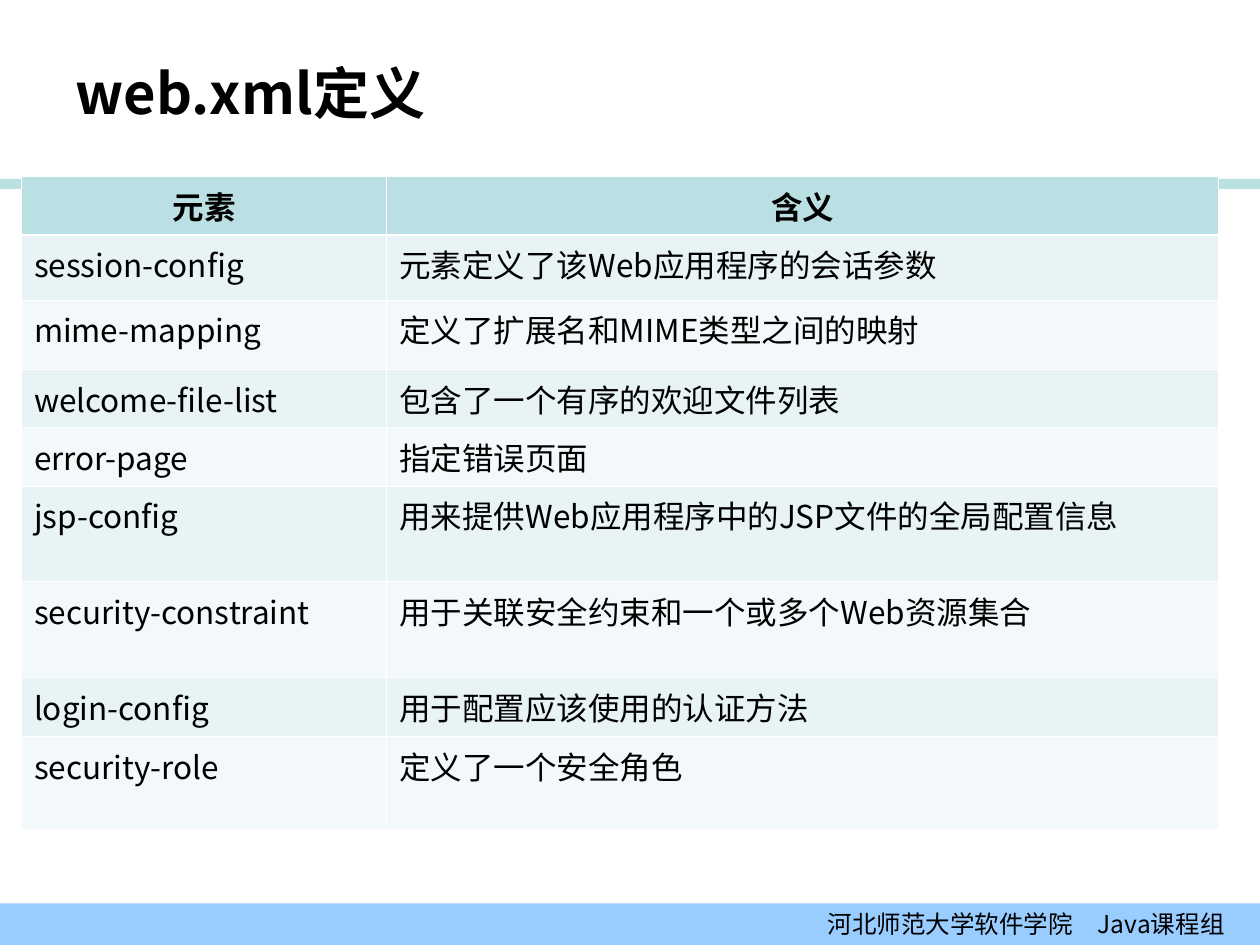
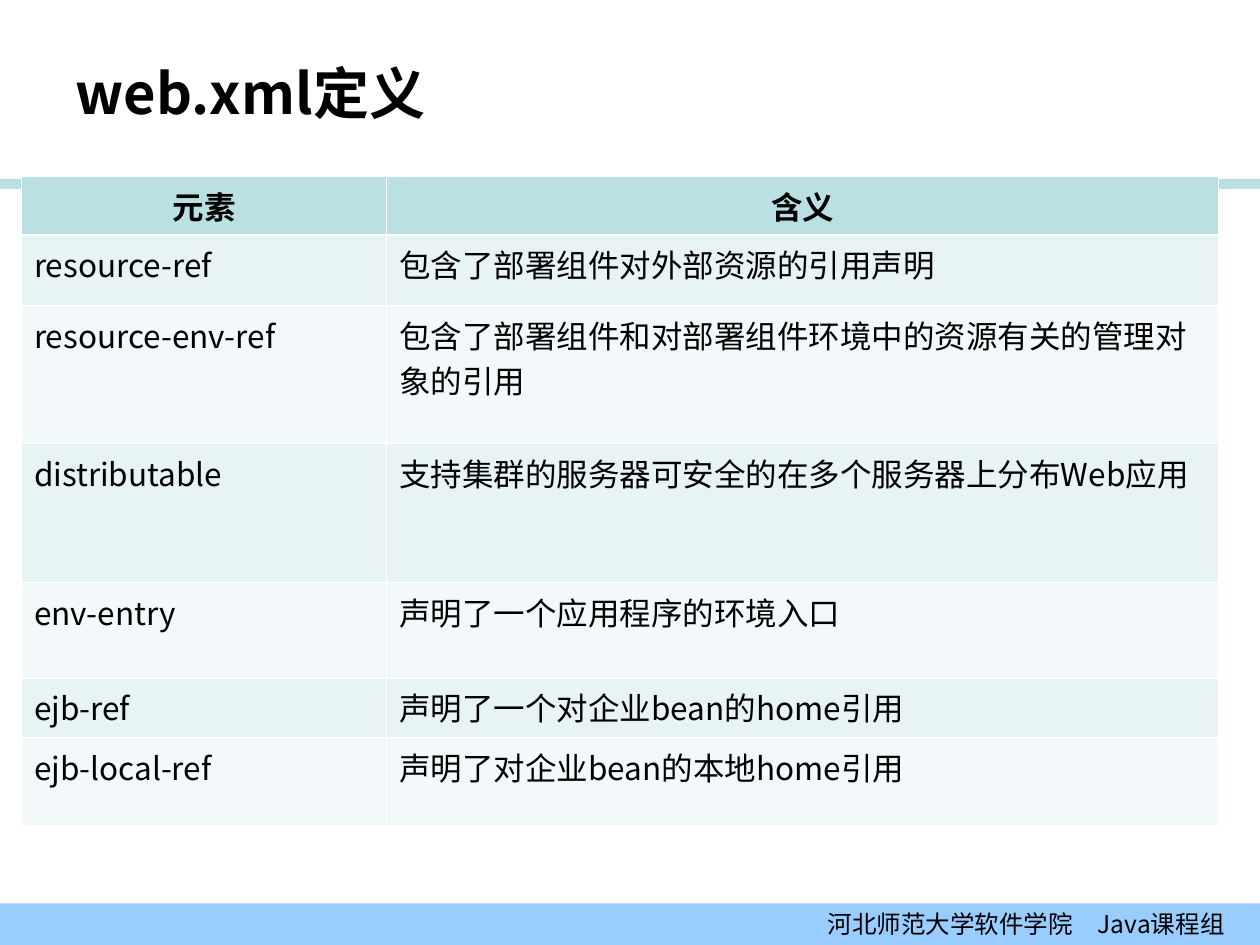
from lxml import etree
from pptx import Presentation
from pptx.dml.color import RGBColor
from pptx.enum import shapes, text
from pptx.oxml import ns
from pptx.util import Inches, Pt

FONT = "Noto Sans CJK SC"
BLACK = RGBColor(0x00, 0x00, 0x00)
TEAL = RGBColor(0xBB, 0xE0, 0xE3)
BLUE = RGBColor(0x99, 0xCC, 0xFF)
ROW_TINTS = [RGBColor(0xF3, 0xF9, 0xFA), RGBColor(0xE7, 0xF3, 0xF4)]
TITLE_FORMAT = {"size": Pt(32), "bold": True}
HEADER_FORMAT = {"size": Pt(18), "bold": True}
BODY_FORMAT = {"size": Pt(18), "bold": False}
FOOTER_FORMAT = {"size": Pt(14), "bold": False}
HEADER = ("元素", "含义")
COLUMN_WIDTHS = (2.9, 6.6)
THIN, THICK = Pt(0.45), Pt(1.47)

TABLES = [
    [
        (0.46, HEADER),
        (0.52, ("session-config", "元素定义了该Web应用程序的会话参数")),
        (0.55, ("mime-mapping", "定义了扩展名和MIME类型之间的映射")),
        (0.46, ("welcome-file-list", "包含了一个有序的欢迎文件列表")),
        (0.46, ("error-page", "指定错误页面")),
        (0.76, ("jsp-config", "用来提供Web应用程序中的JSP文件的全局配置信息")),
        (0.76, ("security-constraint", "用于关联安全约束和一个或多个Web资源集合")),
        (0.47, ("login-config", "用于配置应该使用的认证方法")),
        (0.74, ("security-role", "定义了一个安全角色")),
    ],
    [
        (0.46, HEADER),
        (0.56, ("resource-ref", "包含了部署组件对外部资源的引用声明")),
        (1.1, ("resource-env-ref", "包含了部署组件和对部署组件环境中的资源有关的管理对象的引用")),
        (1.1, ("distributable", "支持集群的服务器可安全的在多个服务器上分布Web应用")),
        (0.76, ("env-entry", "声明了一个应用程序的环境入口")),
        (0.47, ("ejb-ref", "声明了一个对企业bean的home引用")),
        (0.7, ("ejb-local-ref", "声明了对企业bean的本地home引用")),
    ],
]


def write_text(frame, words, formats, alignment=text.PP_ALIGN.LEFT):
    paragraph = frame.paragraphs[0]
    paragraph.alignment = alignment
    run = paragraph.add_run()
    run.text = words
    for name, value in formats.items():
        setattr(run.font, name, value)
    run.font.name = FONT
    run.font.color.rgb = BLACK
    east_asian = etree.SubElement(run.font._element, ns.qn("a:ea"))
    east_asian.set("typeface", FONT)


def add_border(cell, side, width):
    properties = cell._tc.get_or_add_tcPr()
    line = etree.SubElement(properties, ns.qn("a:ln" + side), w=str(int(width)))
    fill = etree.SubElement(line, ns.qn("a:solidFill"))
    etree.SubElement(fill, ns.qn("a:srgbClr"), val="FFFFFF")


presentation = Presentation()
presentation.slide_width = Inches(10)
presentation.slide_height = Inches(7.5)
layout = presentation.slide_layouts[5]

title_box = layout.placeholders[0]
for name, value in {"left": 0.5, "top": 0.3, "width": 8, "height": 0.87}.items():
    setattr(title_box, name, Inches(value))

slides = [presentation.slides.add_slide(layout) for rows in TABLES]

bands = []
for top, height, color in [(1.42, 0.08, TEAL), (7.17, 0.33, BLUE)]:
    band = slides[0].shapes.add_shape(
        shapes.MSO_SHAPE.RECTANGLE, 0, Inches(top), Inches(10), Inches(height))
    band.shadow.inherit = False
    band.fill.solid()
    band.fill.fore_color.rgb = color
    band.line.fill.background()
    bands.append(band)

footer = bands[1].text_frame
footer.word_wrap = True
footer.vertical_anchor = text.MSO_ANCHOR.MIDDLE
footer.margin_right = Inches(0.28)
write_text(footer, "河北师范大学软件学院\u3000Java课程组", FOOTER_FORMAT, text.PP_ALIGN.RIGHT)

for number, band in enumerate(bands, start=20):
    band.element.xpath(".//p:cNvPr")[0].set("id", str(number))
    layout.shapes.element.append(band.element)

for slide, rows in zip(slides, TABLES):
    title = slide.shapes.title.text_frame
    title.auto_size = text.MSO_AUTO_SIZE.NONE
    title.vertical_anchor = text.MSO_ANCHOR.MIDDLE
    write_text(title, "web.xml定义", TITLE_FORMAT)

    total_height = sum(height for height, words in rows)
    table = slide.shapes.add_table(
        len(rows), len(HEADER), Inches(0.17), Inches(1.4),
        Inches(sum(COLUMN_WIDTHS)), Inches(total_height)).table
    for column, width in zip(table.columns, COLUMN_WIDTHS):
        column.width = Inches(width)

    for index, (height, row_words) in enumerate(rows):
        table.rows[index].height = Inches(height)
        is_header = index == 0
        for cell, words in zip(table.rows[index].cells, row_words):
            borders = {
                "L": THIN,
                "R": THIN,
                "T": THICK if index == 1 else THIN,
                "B": THICK if is_header else THIN,
            }
            for side, width in borders.items():
                add_border(cell, side, width)
            cell.fill.solid()
            cell.fill.fore_color.rgb = TEAL if is_header else ROW_TINTS[index % 2]
            write_text(
                cell.text_frame, words,
                HEADER_FORMAT if is_header else BODY_FORMAT,
                text.PP_ALIGN.CENTER if is_header else text.PP_ALIGN.LEFT)

presentation.save("out.pptx")
